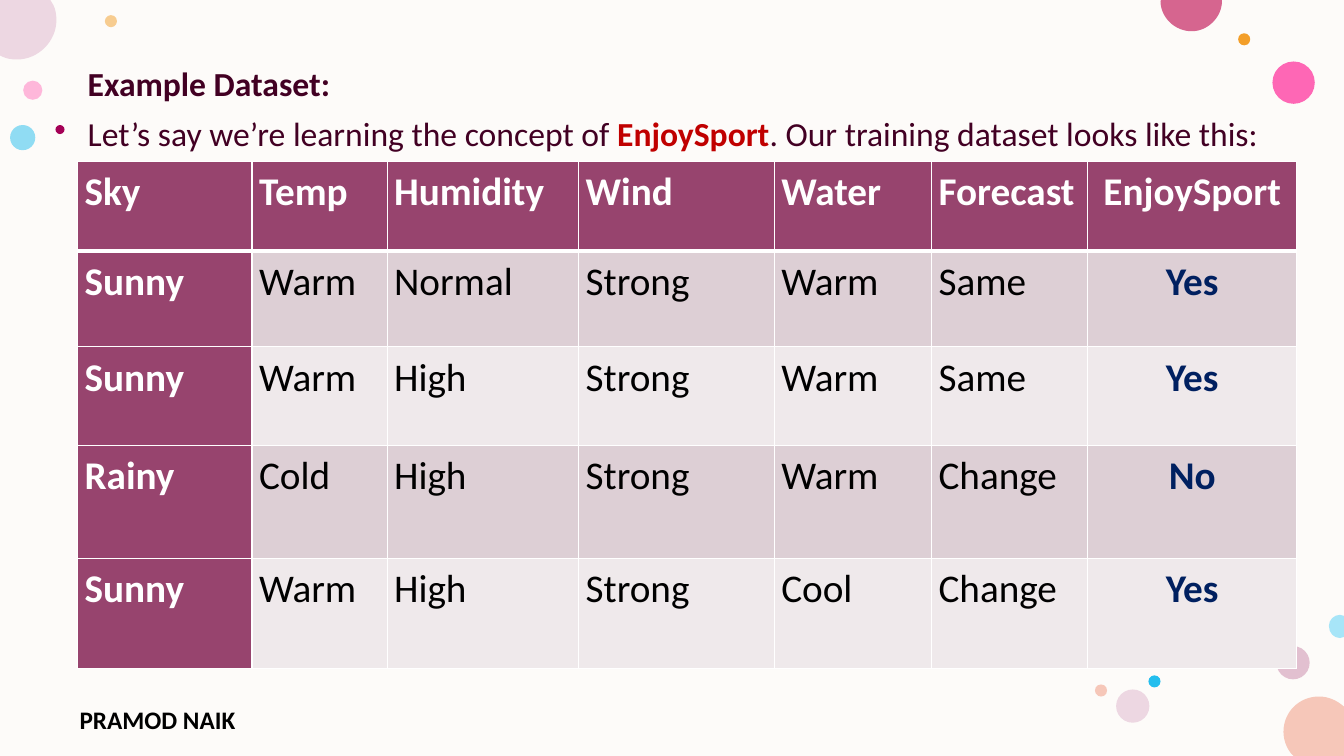
from lxml.etree import SubElement as Sub
from pptx import Presentation
from pptx.dml.color import RGBColor
from pptx.enum.shapes import MSO_SHAPE as Shape
from pptx.enum.text import MSO_ANCHOR as Anchor, PP_ALIGN as Align
from pptx.oxml.ns import qn
from pptx.util import Inches, Pt

WIDE, HIGH = 13.33, 7.5
FONT = "Calibri"
CREAM = RGBColor(0xFD, 0xFB, 0xF9)
WHITE = RGBColor(0xFF, 0xFF, 0xFF)
BLACK = RGBColor(0x00, 0x00, 0x00)
WINE = RGBColor(0x42, 0x00, 0x23)
RED = RGBColor(0xC0, 0x00, 0x00)
NAVY = RGBColor(0x00, 0x20, 0x60)
PLUM = RGBColor(0x97, 0x44, 0x6E)
MAUVE = RGBColor(0xDD, 0xCF, 0xD5)
PALE = RGBColor(0xEF, 0xE9, 0xEB)
PINK = RGBColor(0xFF, 0x75, 0xBD)
HOT = RGBColor(0xFF, 0x2F, 0x9C)
ROSE = RGBColor(0xD6, 0x65, 0x8F)
DUSK = RGBColor(0xC9, 0x87, 0xA8)
BLUSH = RGBColor(0xE3, 0xBE, 0xBE)
LILAC = RGBColor(0xED, 0xD7, 0xE2)
PEACH = RGBColor(0xF6, 0xC7, 0xB9)
AMBER = RGBColor(0xF3, 0x9E, 0x29)
SKY = RGBColor(0x24, 0xBE, 0xEE)
ICE = RGBColor(0xA7, 0xE5, 0xF8)
BERRY = RGBColor(0xA4, 0x00, 0x56)

DOTS = [
    (0.23, 0.8, 0.19, PINK, 50),
    (1.04, 0.15, 0.12, AMBER, 50),
    (12.66, 6.41, 0.33, DUSK, 50),
    (0.1, 1.24, 0.25, SKY, 50),
    (12.62, 0.61, 0.42, HOT, 72),
    (12.28, 0.33, 0.12, AMBER, 100),
    (12.72, 6, 0.1, BLUSH, 28),
    (11.39, 6.7, 0.12, SKY, 100),
    (11.07, 6.84, 0.33, LILAC, 100),
    (10.86, 6.79, 0.12, PEACH, 100),
    (0.55, 1.24, 0.09, BERRY, 100),
]
DISCS = [
    (PEACH, [(13.08, 6.91), (13.18, 6.91, 13.26, 6.95, 13.33, 7.01), (13.33, 7.02),
             (13.33, 7.5), (12.83, 7.5), (12.81, 7.48),
             (12.76, 7.42, 12.73, 7.34, 12.73, 7.26),
             (12.73, 7.06, 12.89, 6.91, 13.08, 6.91)]),
    (LILAC, [(0, 0), (0.5, 0), (0.53, 0.05), (0.55, 0.09, 0.56, 0.14, 0.56, 0.2),
             (0.56, 0.41, 0.38, 0.59, 0.17, 0.59),
             (0.11, 0.59, 0.06, 0.58, 0.02, 0.56), (0, 0.55)]),
    (ROSE, [(11.52, 0), (12.12, 0), (12.12, 0.01),
            (12.12, 0.17, 11.98, 0.31, 11.82, 0.31),
            (11.65, 0.31, 11.51, 0.17, 11.51, 0.01)]),
    (ICE, [(13.29, 6.1), (13.33, 6.11), (13.33, 6.32), (13.29, 6.33),
           (13.23, 6.33, 13.18, 6.28, 13.18, 6.21),
           (13.18, 6.15, 13.23, 6.1, 13.29, 6.1)]),
]
COLS = [1.73, 1.34, 1.9, 1.94, 1.56, 1.55, 2.07]
ROWS = [0.89, 0.95, 0.98, 1.12, 1.09]
DATA = [
    ["Sky", "Temp", "Humidity", "Wind", "Water", "Forecast", "EnjoySport"],
    ["Sunny", "Warm", "Normal", "Strong", "Warm", "Same", "Yes"],
    ["Sunny", "Warm", "High", "Strong", "Warm", "Same", "Yes"],
    ["Rainy", "Cold", "High", "Strong", "Warm", "Change", "No"],
    ["Sunny", "Warm", "High", "Strong", "Cool", "Change", "Yes"],
]


def add_run(para, text, size, color, bold):
    """Add one styled run to a paragraph."""
    run = para.add_run()
    run.text = text
    font = run.font
    font.name, font.size, font.bold = FONT, Pt(size), bold
    font.color.rgb = color


def paint(shape, color, alpha=100):
    """Give a shape a plain fill with no line or shadow."""
    shape.shadow.inherit = False
    shape.line.fill.background()
    shape.fill.solid()
    shape.fill.fore_color.rgb = color
    if alpha < 100:
        tint = shape._element.spPr.find(".//" + qn("a:srgbClr"))
        Sub(tint, qn("a:alpha"), val=str(alpha * 1000))


def add_disc(slide, left, top, color, steps):
    """Draw a cut circle, where six numbers make a curve and two a line."""
    dots = [(Inches(left + step[at]), Inches(top + step[at + 1]))
            for step in steps for at in range(0, len(step), 2)]
    form = slide.shapes.build_freeform(*dots[0])
    form.add_line_segments(dots[1:])
    shape = form.convert_to_shape()
    lines = iter(shape._element.findall(".//" + qn("a:lnTo")))
    for step in steps[1:]:
        line = next(lines)
        if len(step) == 6:
            line.tag = qn("a:cubicBezTo")
            for _ in range(2):
                extra = next(lines)
                line.append(extra[0])
                extra.getparent().remove(extra)
    paint(shape, color)


def add_decor(slide, box):
    """Lay the cream ground and scatter the coloured dots."""
    left, top = box[:2]
    ground = slide.shapes.add_shape(Shape.RECTANGLE, *map(Inches, box))
    paint(ground, CREAM)
    for x, y, size, color, alpha in DOTS:
        dot = slide.shapes.add_shape(Shape.OVAL, Inches(left + x), Inches(top + y),
                                     Inches(size), Inches(size))
        paint(dot, color, alpha)
    for color, steps in DISCS:
        add_disc(slide, left, top, color, steps)


def add_name(slide, box):
    """Write the author name at the foot."""
    frame = slide.shapes.add_textbox(*map(Inches, box)).text_frame
    frame.word_wrap = True
    add_run(frame.paragraphs[0], "PRAMOD NAIK", 18, BLACK, True)


def fill_body(slide, box):
    """Place the body above the ground and write the two intro lines."""
    body = slide.placeholders[1]
    slide.shapes._spTree.append(body._element)
    body.left, body.top, body.width, body.height = map(Inches, box)
    frame = body.text_frame
    frame.vertical_anchor = Anchor.TOP
    lines = [
        [("Example Dataset:", WINE, True)],
        [("Let’s say we’re learning the concept of ", WINE, False),
         ("EnjoySport", RED, True),
         (". Our training dataset looks like this:", WINE, False)],
    ]
    for row, runs in enumerate(lines):
        para = frame.add_paragraph() if row else frame.paragraphs[0]
        props = para._p.get_or_add_pPr()
        props.set("marL", "0")
        props.set("indent", "0")
        Sub(props, qn("a:buNone"))
        para.line_spacing = 0.9
        para.space_before = Pt(10 if row else 0)
        for text, color, bold in runs:
            add_run(para, text, 24, color, bold)


def add_edges(cell, row):
    """Draw white cell borders, thick under the header."""
    props = cell._tc.get_or_add_tcPr()
    wide = {"L": 1, "R": 1, "T": 3 if row == 1 else 1, "B": 1 if row else 3}
    for side, size in wide.items():
        line = Sub(props, qn("a:ln" + side), w=str(Pt(size)))
        Sub(Sub(line, qn("a:solidFill")), qn("a:srgbClr"), val=str(WHITE))


def fill_cell(cell, row, col, text):
    """Style one table cell and write its text."""
    head = row == 0 or col == 0
    last = col == len(COLS) - 1
    add_edges(cell, row)
    cell.fill.solid()
    cell.fill.fore_color.rgb = PLUM if head else MAUVE if row % 2 else PALE
    cell.margin_left = cell.margin_right = Inches(0.07)
    cell.margin_top = cell.margin_bottom = 0
    para = cell.text_frame.paragraphs[0]
    para.alignment = Align.CENTER if last else Align.LEFT
    para.line_spacing = 1.15
    para.space_after = Pt(8)
    add_run(para, text, 28, WHITE if head else NAVY if last else BLACK, head or last)


def add_grid(slide, box):
    """Build the training data table."""
    table = slide.shapes.add_table(len(ROWS), len(COLS), *map(Inches, box)).table
    table.first_col = True
    for col, wide in zip(table.columns, COLS):
        col.width = Inches(wide)
    for row, high in zip(table.rows, ROWS):
        row.height = Inches(high)
    for row, texts in enumerate(DATA):
        for col, text in enumerate(texts):
            fill_cell(table.cell(row, col), row, col, text)


def main():
    """Build and save the deck."""
    deck = Presentation()
    deck.slide_width, deck.slide_height = Inches(WIDE), Inches(HIGH)
    slide = deck.slides.add_slide(deck.slide_layouts[1])
    title = slide.shapes.title._element
    title.getparent().remove(title)
    add_decor(slide, (0, 0, WIDE, HIGH))
    add_name(slide, (0.69, 6.94, 2.45, 0.32))
    fill_body(slide, (0.77, 0.62, 11.92, 5.83))
    add_grid(slide, (0.77, 1.6, sum(COLS), sum(ROWS)))
    deck.save("out.pptx")


if __name__ == "__main__":
    main()
